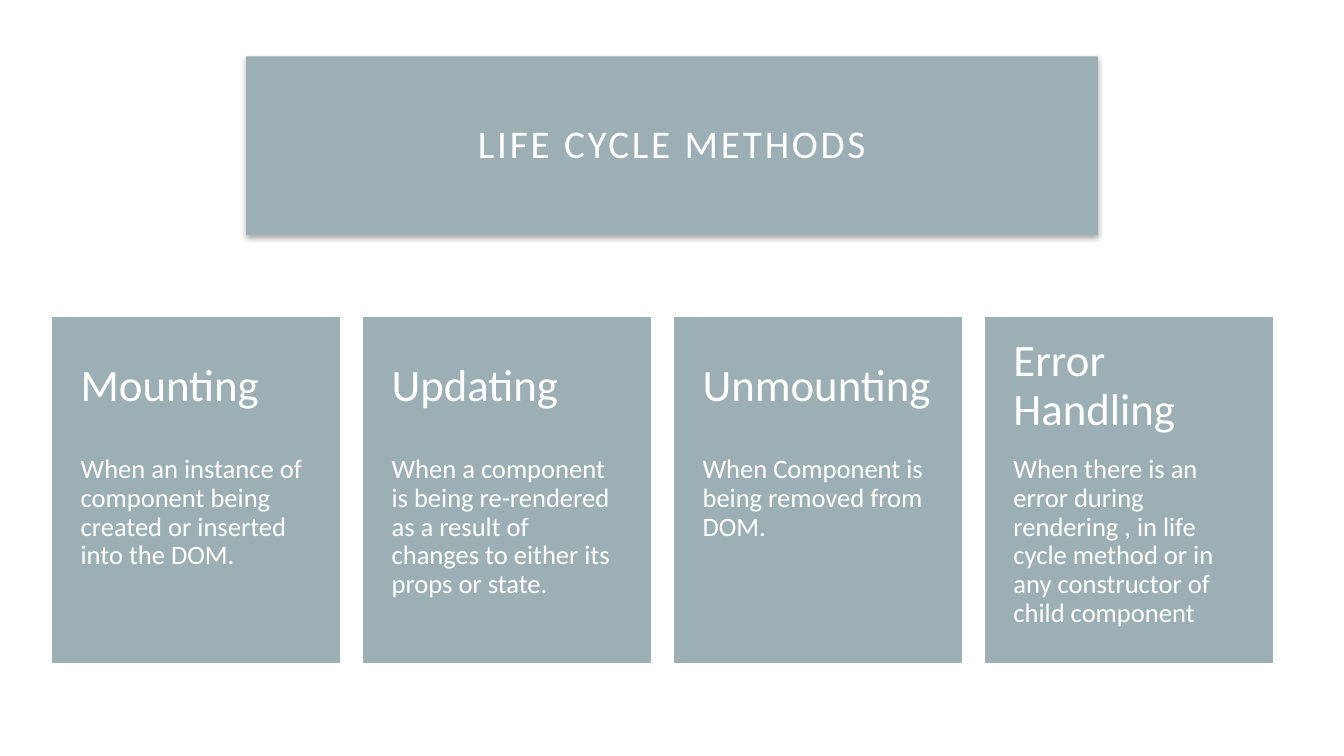
import pptx
import pptx.util
import pptx.dml.color
import pptx.enum.shapes
import pptx.enum.text
import lxml.etree

# Content
TITLE = "LIFE CYCLE METHODS"
CARDS = [
    ("Mounting", "When an instance of component being created or inserted into the DOM."),
    ("Updating", "When a component is being re-rendered as a result of changes "
                 "to either its props or state."),
    ("Unmounting", "When Component is being removed from DOM."),
    ("Error Handling", "When there is an error during rendering , in life cycle "
                       "method or in any constructor of child component"),
]

# Style and layout, in inches
FONT, WHITE, GRAY = "Calibri", "FFFFFF", "9BAFB5"
LEFT, TOP, WIDE, HIGH, STEP = 0.52, 3.15, 2.85, 3.42, 3.084
HEAD = 1.37
SHADOW = """<a:effectLst xmlns:a="http://schemas.openxmlformats.org/drawingml/2006/main">
<a:outerShdw blurRad="44450" dist="27940" dir="5400000" algn="ctr" rotWithShape="0">
<a:srgbClr val="000000"><a:alpha val="32000"/></a:srgbClr></a:outerShdw></a:effectLst>"""

Inches = pptx.util.Inches
ALIGN = pptx.enum.text.PP_ALIGN
ANCHOR = pptx.enum.text.MSO_ANCHOR

deck = pptx.Presentation()
deck.slide_width, deck.slide_height = Inches(13.33), Inches(7.5)
slide = deck.slides.add_slide(deck.slide_layouts[6])


def color(code):
    return pptx.dml.color.RGBColor.from_string(code)


def paint(fill, code):
    fill.solid()
    fill.fore_color.rgb = color(code)


def add_box(*place, line=None):
    box = slide.shapes.add_shape(pptx.enum.shapes.MSO_SHAPE.RECTANGLE, *map(Inches, place))
    box.shadow.inherit = False
    paint(box.fill, GRAY)
    if line:
        paint(box.line.fill, line)
        box.line.width = pptx.util.Pt(1)
    else:
        box.line.fill.background()
    return box


def add_text(shape, text, size, inset, align=ALIGN.LEFT, anchor=ANCHOR.TOP, track=None):
    frame = shape.text_frame
    frame.word_wrap = True
    frame.vertical_anchor = anchor
    (frame.margin_left, frame.margin_top,
     frame.margin_right, frame.margin_bottom) = map(Inches, inset)
    para = frame.paragraphs[0]
    para.alignment = align
    para.line_spacing = 0.9
    run = para.add_run()
    run.text = text
    run.font.name = FONT
    run.font.size = pptx.util.Pt(size)
    run.font.color.rgb = color(WHITE)
    if track:
        run.font._element.set("spc", str(track * 100))


def add_label(place, text, size, inset, **style):
    add_text(slide.shapes.add_textbox(*map(Inches, place)), text, size, inset, **style)


# Background and title
paint(slide.background.fill, WHITE)
banner = add_box(2.44, 0.56, 8.45, 1.77)
props = banner._element.spPr
props.remove(props.find(pptx.oxml.ns.qn("a:effectLst")))
props.append(lxml.etree.fromstring(SHADOW))
add_text(banner, TITLE, 28, (0.2,) * 4, align=ALIGN.CENTER, anchor=ANCHOR.MIDDLE, track=2)

# Cards
for i, (head, body) in enumerate(CARDS):
    x = LEFT + i * STEP
    add_box(x, TOP, WIDE, HIGH, line=GRAY)
    add_label((x, TOP + HEAD, WIDE, HIGH - HEAD), body, 19, (0.28, 0, 0.28, 0.36))
    add_label((x, TOP, WIDE, HEAD), head, 32, (0.28, 0.18, 0.28, 0.18), anchor=ANCHOR.MIDDLE)

deck.save("out.pptx")
